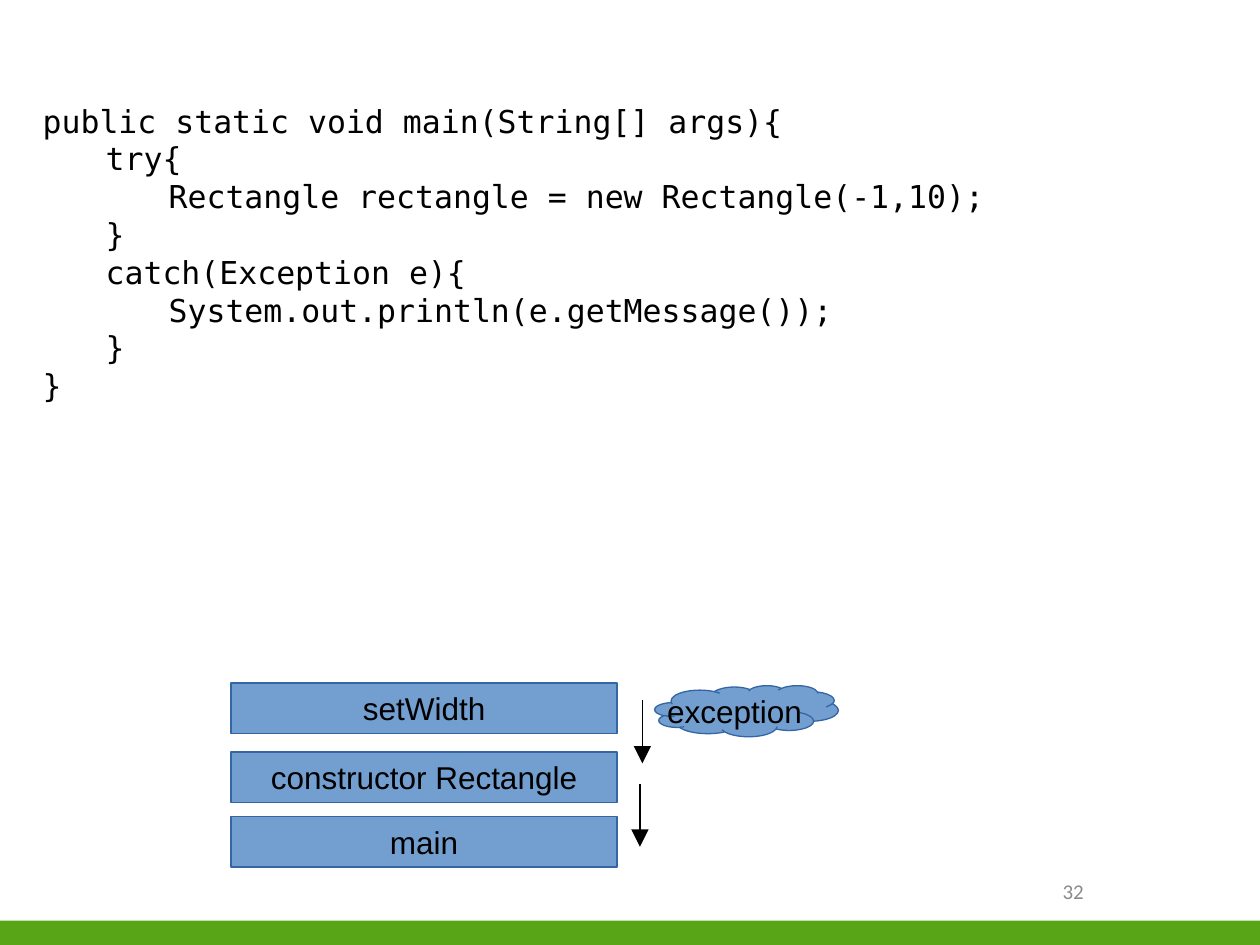
from pptx import Presentation
from pptx.dml.color import RGBColor
from pptx.enum.shapes import MSO_CONNECTOR, MSO_SHAPE
from pptx.enum.text import MSO_ANCHOR as Anchor, PP_ALIGN as Align
from pptx.oxml.ns import qn
from pptx.util import Cm, Pt
from lxml.etree import SubElement

GREEN = RGBColor(0x58, 0xA6, 0x18)
BLUE = RGBColor(0x72, 0x9F, 0xCF)
DARK_BLUE = RGBColor(0x34, 0x65, 0xA4)
BLACK = RGBColor(0, 0, 0)
GRAY = RGBColor(0x8B, 0x8B, 0x8B)

presentation = Presentation()
presentation.slide_width, presentation.slide_height = Cm(25.4), Cm(19.05)
slide = presentation.slides.add_slide(presentation.slide_layouts[6])
shapes = slide.shapes


def write(shape, lines, font="Arial", size=18, color=BLACK, align=Align.LEFT,
          anchor=Anchor.TOP, inset=0.13, spacing=None):
    """Fill a shape with (indent level, text) lines."""
    frame = shape.text_frame
    frame.word_wrap = True
    frame.vertical_anchor = anchor
    frame.margin_left = frame.margin_right = Cm(0.25)
    frame.margin_top = frame.margin_bottom = Cm(inset)
    for index, (level, text) in enumerate(lines):
        paragraph = frame.paragraphs[0] if index == 0 else frame.add_paragraph()
        paragraph.alignment = align
        paragraph.line_spacing = spacing
        if level:
            paragraph._p.get_or_add_pPr().set("marL", str(Cm(1.27 * level)))
        run = paragraph.add_run()
        run.text = text
        run.font.name, run.font.size = font, Pt(size)
        run.font.color.rgb = color


def add_filled(kind, left, top, width, height, fill, line=None):
    shape = shapes.add_shape(kind, Cm(left), Cm(top), Cm(width), Cm(height))
    shape.shadow.inherit = False
    shape.fill.solid()
    shape.fill.fore_color.rgb = fill
    if line is None:
        shape.line.fill.background()
    else:
        shape.line.color.rgb = line
        shape.line.width = Pt(0.75)
    return shape


# Footer bar and slide number
add_filled(MSO_SHAPE.RECTANGLE, 0, 18.56, 25.4, 0.49, GREEN)
number_box = shapes.add_textbox(Cm(18.21), Cm(17.45), Cm(3.89), Cm(1.02))
write(number_box, [(0, "32")], font="Calibri", size=12, color=GRAY,
      align=Align.RIGHT, anchor=Anchor.MIDDLE)

# Code listing
code_lines = [
    (0, "public static void main(String[] args){"),
    (1, "try{"),
    (2, "Rectangle rectangle = new Rectangle(-1,10);"),
    (1, "}"),
    (1, "catch(Exception e){"),
    (2, "System.out.println(e.getMessage());"),
    (1, "}"),
    (0, "}"),
]
code_box = shapes.add_textbox(Cm(0.61), Cm(1.8), Cm(24.79), Cm(15.77))
write(code_box, code_lines, font="DejaVu Sans Mono", inset=0.25, spacing=Pt(21.6))

# Call stack
for name, top in [("main", 16.46), ("constructor Rectangle", 15.16), ("setWidth", 13.77)]:
    frame_box = add_filled(MSO_SHAPE.RECTANGLE, 4.66, top, 7.78, 1.02, BLUE, DARK_BLUE)
    write(frame_box, [(0, name)], align=Align.CENTER, anchor=Anchor.MIDDLE)

# Exception cloud with its label
add_filled(MSO_SHAPE.CLOUD, 13.2, 13.82, 3.7, 1.03, BLUE, DARK_BLUE)
exception_label = shapes.add_textbox(Cm(13.2), Cm(13.82), Cm(4.57), Cm(0.97))
write(exception_label, [(0, "exception")])

# Arrows passing the exception down the stack
for left, top in [(12.95, 14.12), (12.9, 15.8)]:
    arrow = shapes.add_connector(MSO_CONNECTOR.STRAIGHT, Cm(left), Cm(top),
                                 Cm(left), Cm(top + 1.27))
    arrow.line.color.rgb = BLACK
    arrow.line.width = Pt(0.75)
    SubElement(arrow.line._get_or_add_ln(), qn("a:tailEnd"), type="triangle", w="lg", len="lg")
    SubElement(arrow._element.spPr, qn("a:effectLst"))

presentation.save("out.pptx")
